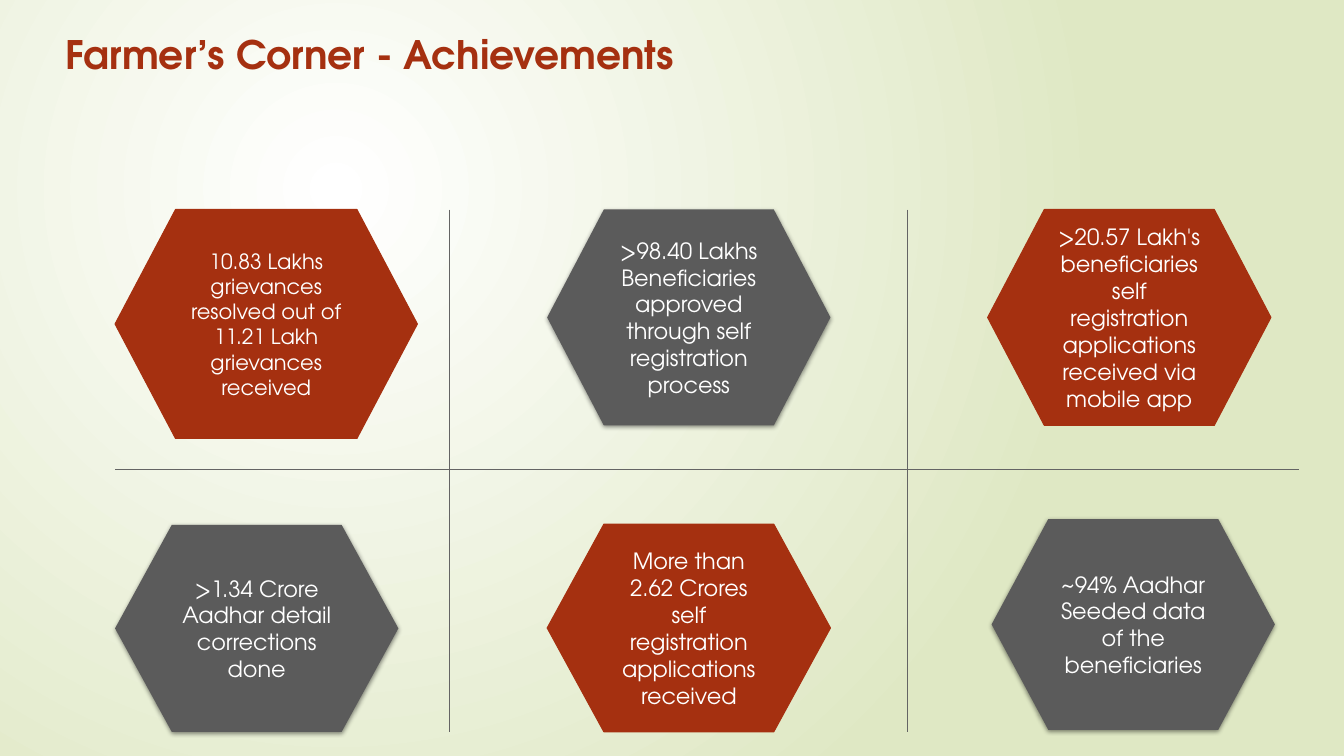
"""Build the Farmer's Corner achievements slide."""
from lxml import etree
from pptx import Presentation
from pptx.dml.color import RGBColor
from pptx.enum.shapes import MSO_CONNECTOR, MSO_SHAPE
from pptx.enum.text import MSO_ANCHOR, MSO_AUTO_SIZE, PP_ALIGN
from pptx.oxml import parse_xml
from pptx.oxml.ns import qn
from pptx.util import Cm, Pt

HEXAGON = MSO_SHAPE.FLOWCHART_PREPARATION
STRAIGHT = MSO_CONNECTOR.STRAIGHT
MIDDLE = MSO_ANCHOR.MIDDLE
GROW = MSO_AUTO_SIZE.SHAPE_TO_FIT_TEXT
CENTER, LEFT = PP_ALIGN.CENTER, PP_ALIGN.LEFT

NAMESPACE = 'xmlns:a="http://schemas.openxmlformats.org/drawingml/2006/main"'
RADIAL = (f'<a:path {NAMESPACE} path="circle"><a:fillToRect l="50000" t="50000" '
          'r="100000" b="100000"/></a:path>')
SHADOW = (f'<a:outerShdw {NAMESPACE} blurRad="44450" dist="13970" dir="5400000" '
          'algn="ctr" rotWithShape="0"><a:srgbClr val="000000">'
          '<a:alpha val="45000"/></a:srgbClr></a:outerShdw>')

LEFT_EDGE, RIGHT_EDGE = 2.9, 32.74
TOP_EDGE, BOTTOM_EDGE = 5.28, 18.44
ROW_RULE, COLUMN_RULES = 11.84, (11.33, 22.86)
WIDTH = 7.14

ACHIEVEMENTS = [
    (LEFT_EDGE, TOP_EDGE, 7.62, 5.77, "rust", 15,
     "10.83 Lakhs grievances resolved out of 11.21 Lakh grievances received"),
    (13.79, TOP_EDGE, WIDTH, 5.44, "grey", 16,
     ">98.40 Lakhs Beneficiaries approved through self registration process"),
    (24.89, TOP_EDGE, WIDTH, 5.44, "rust", 16,
     ">20.57 Lakh's beneficiaries self registration applications received via mobile app"),
    (LEFT_EDGE, 13.23, WIDTH, 5.21, "grey", 16,
     ">1.34 Crore Aadhar detail corrections done"),
    (13.79, 13.21, WIDTH, 5.23, "rust", 16,
     "More than 2.62 Crores self registration applications received"),
    (24.99, 13.08, WIDTH, 5.31, "grey", 16,
     "~94% Aadhar Seeded data of the beneficiaries"),
]


def color(value):
    return RGBColor.from_string(value)


def apply(target, values):
    for name, value in values.items():
        setattr(target, name, value)


class Painter:
    font = "TeX Gyre Adventor"
    palette = {"rust": "A53010", "grey": "5B5B5B", "rule": "646464",
               "white": "FFFFFF", "green": "DFE8C4"}

    def __init__(self, page):
        self.page = page

    def background(self, inner, outer):
        fill = self.page.background.fill
        fill.gradient()
        for stop, position, name in zip(fill.gradient_stops, (0, 1), (inner, outer)):
            stop.position = position
            stop.color.rgb = color(self.palette[name])
        linear = next(self.page.element.iter(qn("a:lin")))
        linear.getparent().replace(linear, parse_xml(RADIAL))

    def add_text(self, frame, text, size, name, align, bold=False):
        para = frame.paragraphs[0]
        para.alignment = align
        span = para.add_run()
        span.text = text
        apply(span.font, {"name": self.font, "size": Pt(size), "bold": bold})
        span.font.color.rgb = color(self.palette[name])
        return para

    def title(self, left, top, width, height, text):
        box = self.page.shapes.add_textbox(Cm(left), Cm(top), Cm(width), Cm(height))
        apply(box.text_frame, {"word_wrap": True, "auto_size": GROW,
                               "margin_left": 0, "margin_right": 0,
                               "margin_top": 0, "margin_bottom": 0})
        para = self.add_text(box.text_frame, text, 28, "rust", LEFT, bold=True)
        para.line_spacing = 0.9

    def hexagon(self, left, top, width, height, name, size, text):
        shape = self.page.shapes.add_shape(
            HEXAGON, Cm(left), Cm(top), Cm(width), Cm(height))
        shape.shadow.inherit = False
        shape.fill.solid()
        shape.fill.fore_color.rgb = color(self.palette[name])
        if name == "grey":
            shape.line.fill.background()
            effects = shape.element.spPr.find(qn("a:effectLst"))
            effects.append(parse_xml(SHADOW))
        else:
            shape.line.color.rgb = color(self.palette[name])
            shape.line.width = Pt(0.75)
        apply(shape.text_frame, {"word_wrap": True, "vertical_anchor": MIDDLE})
        self.add_text(shape.text_frame, text, size, "white", CENTER)

    def rule(self, *ends):
        line = self.page.shapes.add_connector(STRAIGHT, *map(Cm, ends))
        line.line.color.rgb = color(self.palette["rule"])
        line.line.width = Pt(0.75)
        etree.SubElement(line._element.spPr, qn("a:effectLst"))


def main():
    deck = Presentation()
    apply(deck, {"slide_width": Cm(33.87), "slide_height": Cm(19.05)})
    painter = Painter(deck.slides.add_slide(deck.slide_layouts[6]))
    painter.background("white", "green")
    painter.title(1.65, 0.89, 30.38, 1.07, "Farmer’s Corner - Achievements")
    painter.rule(LEFT_EDGE, ROW_RULE, RIGHT_EDGE, ROW_RULE)
    for column in COLUMN_RULES:
        painter.rule(column, TOP_EDGE, column, BOTTOM_EDGE)
    for achievement in ACHIEVEMENTS:
        painter.hexagon(*achievement)
    deck.save("out.pptx")


if __name__ == "__main__":
    main()
